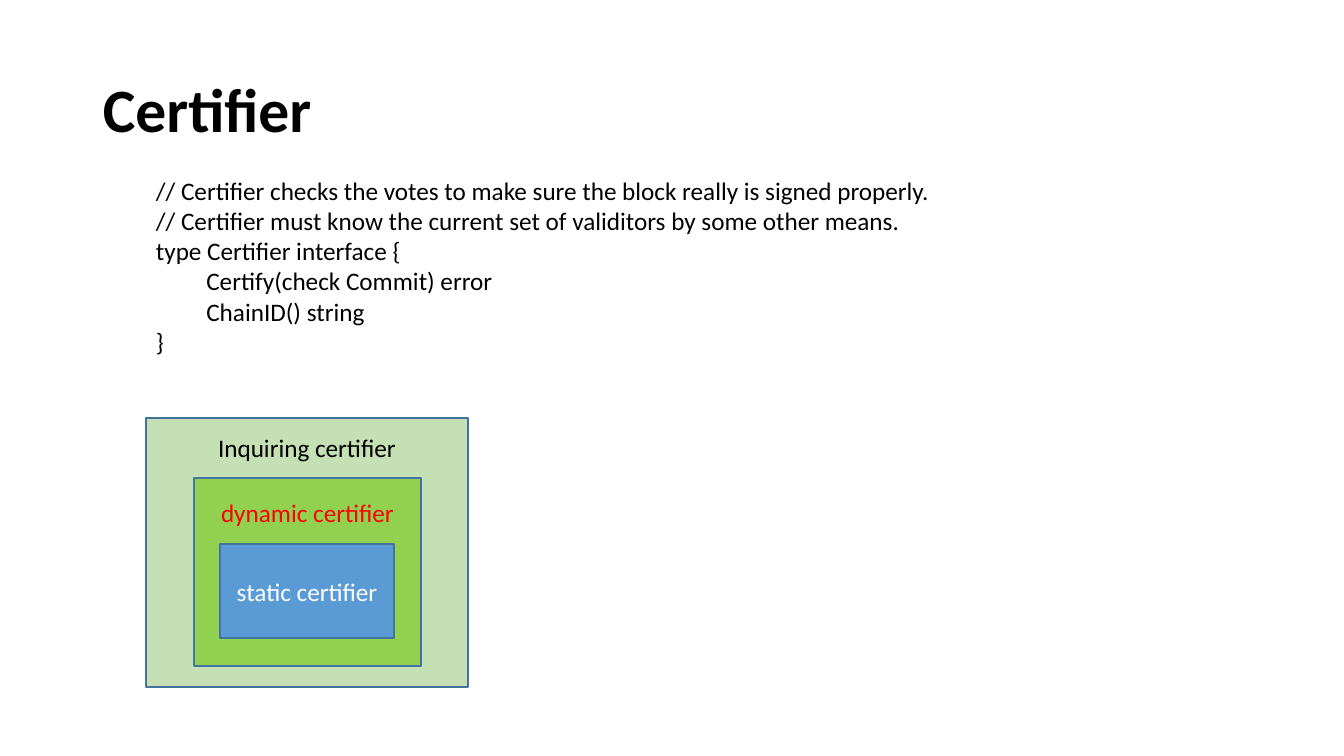
from dataclasses import dataclass

from pptx import Presentation
from pptx.dml.color import RGBColor
from pptx.enum.shapes import MSO_SHAPE
from pptx.enum.text import MSO_ANCHOR, PP_ALIGN
from pptx.slide import Slide
from pptx.text.text import TextFrame
from pptx.util import Emu, Pt

RECTANGLE = MSO_SHAPE.RECTANGLE
TOP, MIDDLE = MSO_ANCHOR.TOP, MSO_ANCHOR.MIDDLE
LEFT, CENTER = PP_ALIGN.LEFT, PP_ALIGN.CENTER

BLACK = RGBColor(0x00, 0x00, 0x00)
WHITE = RGBColor(0xFF, 0xFF, 0xFF)
RED = RGBColor(0xFF, 0x00, 0x00)
PALE_GREEN = RGBColor(0xC5, 0xE0, 0xB4)
GREEN = RGBColor(0x92, 0xD0, 0x50)
BLUE = RGBColor(0x5B, 0x9B, 0xD5)
OUTLINE = RGBColor(0x43, 0x73, 0x9E)

FONT = "Calibri"
PIXELS_PER_INCH = 100.8
SLIDE_WIDTH, SLIDE_HEIGHT = 1344, 756

CODE = """// Certifier checks the votes to make sure the block really is signed properly.
// Certifier must know the current set of validitors by some other means.
type Certifier interface {
\tCertify(check Commit) error
\tChainID() string
}"""


@dataclass(frozen=True)
class Box:
    """A rectangle in pixels."""
    left: int
    top: int
    width: int
    height: int


@dataclass(frozen=True)
class Certifier:
    """A nested certifier box; label_inset is the space above its label."""
    label: str
    box: Box
    fill: RGBColor
    text_color: RGBColor
    label_inset: int


TITLE_BOX = Box(93, 40, 1159, 146)
CODE_BOX = Box(146, 170, 802, 194)
CERTIFIERS = [
    Certifier("Inquiring certifier", Box(146, 418, 322, 269), PALE_GREEN, BLACK, 14),
    Certifier("dynamic certifier", Box(194, 478, 227, 188), GREEN, RED, 19),
    Certifier("static certifier", Box(220, 544, 174, 94), BLUE, WHITE, 32),
]


def px(pixels: int) -> Emu:
    """Turn pixels into EMU."""
    return Emu(round(pixels * 914400 / PIXELS_PER_INCH))


def place(box: Box) -> tuple[Emu, Emu, Emu, Emu]:
    """Give a box as left, top, width and height in EMU."""
    return px(box.left), px(box.top), px(box.width), px(box.height)


def write(frame: TextFrame, text: str, size: int, color: RGBColor,
          alignment: PP_ALIGN = LEFT, bold: bool = False) -> None:
    """Fill a text frame, one paragraph for each line of text."""
    frame.word_wrap = True
    frame.text = text
    for paragraph in frame.paragraphs:
        paragraph.alignment = alignment
        paragraph.font.name = FONT
        paragraph.font.size = Pt(size)
        paragraph.font.bold = bold
        paragraph.font.color.rgb = color


def add_title(slide: Slide) -> None:
    """Add the bold slide title."""
    frame = slide.shapes.add_textbox(*place(TITLE_BOX)).text_frame
    frame.vertical_anchor = MIDDLE
    write(frame, "Certifier", 44, BLACK, bold=True)
    frame.paragraphs[0].line_spacing = 0.9


def add_code(slide: Slide) -> None:
    """Add the interface definition."""
    frame = slide.shapes.add_textbox(*place(CODE_BOX)).text_frame
    write(frame, CODE, 18, BLACK)


def add_certifier(slide: Slide, certifier: Certifier) -> None:
    """Add one outlined certifier box with its label."""
    shape = slide.shapes.add_shape(RECTANGLE, *place(certifier.box))
    shape.shadow.inherit = False
    shape.fill.solid()
    shape.fill.fore_color.rgb = certifier.fill
    shape.line.color.rgb = OUTLINE
    shape.line.width = Pt(1)
    frame = shape.text_frame
    frame.vertical_anchor = TOP
    frame.margin_top = px(certifier.label_inset)
    write(frame, certifier.label, 18, certifier.text_color, CENTER)


def main() -> None:
    """Build and save the slide."""
    presentation = Presentation()
    presentation.slide_width = px(SLIDE_WIDTH)
    presentation.slide_height = px(SLIDE_HEIGHT)
    slide = presentation.slides.add_slide(presentation.slide_layouts[6])
    add_title(slide)
    for certifier in CERTIFIERS:
        add_certifier(slide, certifier)
    add_code(slide)
    presentation.save("out.pptx")


main()
